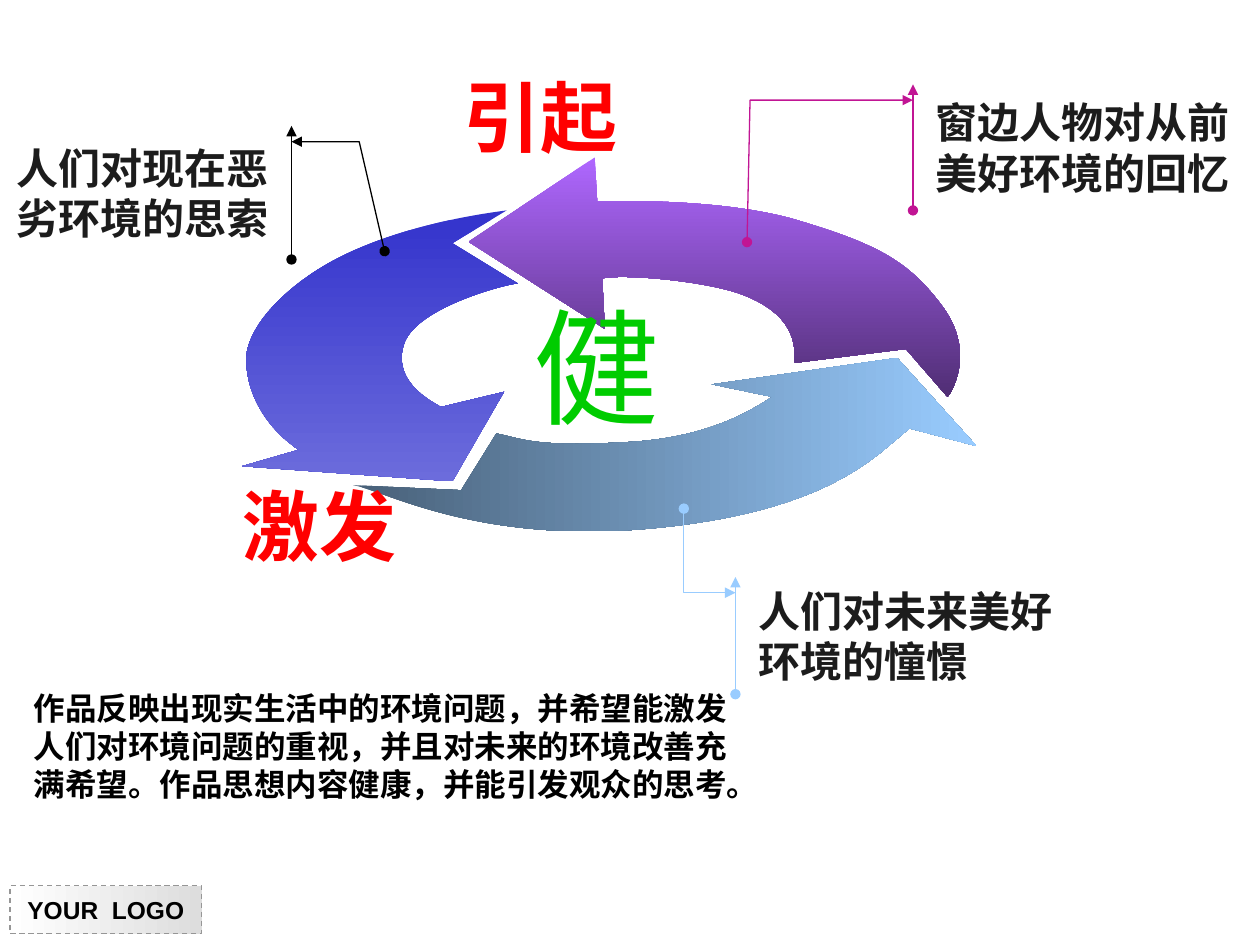
from dataclasses import dataclass

from lxml.etree import SubElement
from pptx import Presentation
from pptx.dml.color import RGBColor
from pptx.enum.dml import MSO_LINE as Dash
from pptx.enum.shapes import MSO_SHAPE as Kind
from pptx.enum.text import MSO_ANCHOR as Anchor, MSO_AUTO_SIZE as Fit, PP_ALIGN as Align
from pptx.oxml.ns import qn
from pptx.util import Emu, Pt

PX = 9144  # EMU per px, 100 px to the inch


@dataclass(frozen=True)
class Theme:
    font: str = "Arial"
    ink: str = "1C1C1C"
    black: str = "000000"
    red: str = "FF0000"
    green: str = "00CC00"
    pink: str = "C11594"
    sky: str = "99CCFF"
    edge: str = "969696"
    tag: tuple = ("FFFFFF", "DDDDDD")
    steel: tuple = ("486078", "99CCFF")
    violet: tuple = ("AF67FF", "502E74")
    blue: tuple = ("3333CC", "6C6CDC")
    hero: int = 72
    word: int = 44
    label: int = 24
    body: int = 18
    small: int = 14


THEME = Theme()


@dataclass(frozen=True)
class Arrow:
    """Outline steps: (x, y) is a line, six numbers are a Bezier curve."""
    start: tuple
    steps: list
    shades: tuple
    angle: int


@dataclass(frozen=True)
class Callout:
    box: tuple
    lines: list
    bend: tuple
    color: str
    align: Align = Align.LEFT


@dataclass(frozen=True)
class Label:
    box: tuple
    lines: list
    size: int
    color: str
    bold: bool = True
    wrap: bool = False
    align: Align = Align.LEFT


ARROWS = [
    Arrow((394, 344), [
        (414, 348, 424, 355, 495, 351), (566, 348, 601, 322, 613, 315),
        (565, 305), (712, 284), (775, 354), (722, 340),
        (697, 359, 662, 405, 521, 419), (380, 433, 305, 389, 280, 385),
        (366, 389)], THEME.steel, 0),
    Arrow((474, 160), [
        (472, 125), (372, 192), (480, 261), (478, 221),
        (497, 217, 567, 224, 592, 235), (639, 254, 629, 285, 631, 288),
        (719, 277), (752, 315),
        (757, 309, 774, 277, 747, 242), (720, 206, 694, 193, 630, 174),
        (566, 156, 474, 160, 474, 160)], THEME.violet, 270),
    Arrow((192, 370), [
        (359, 382), (400, 311), (350, 323),
        (337, 316, 311, 300, 321, 272), (332, 243, 404, 225, 411, 225),
        (359, 193), (402, 167),
        (348, 174, 300, 188, 266, 206), (232, 224, 201, 253, 196, 279),
        (193, 303, 205, 335, 237, 357)], THEME.blue, 270),
]

CALLOUTS = [
    Callout((733, 67, 300, 100), ["窗边人物对从前", "美好环境的回忆"],
            (0.125, -0.028, 0.125, -0.459, 1.252, -0.467), THEME.pink),
    Callout((592, 458, 333, 93), ["人们对未来美好", "环境的憧憬"],
            (0.134, -0.025, 0.134, -0.148, -0.584, -0.148), THEME.sky),
    Callout((-17, 100, 240, 106), ["人们对现在恶 劣环境的思索"],
            (0.118, 1.035, 0.118, 1.259, 0.938, 1.343), THEME.black, Align.RIGHT),
]

HERO = Label((367, 225, 212, 130), ["健"], THEME.hero, THEME.green,
             bold=False, wrap=True, align=Align.CENTER)
LABELS = [
    Label((358, 50, 143, 83), ["引起"], THEME.word, THEME.red),
    Label((183, 375, 143, 83), ["激发"], THEME.word, THEME.red),
    Label((17, 542, 599, 100), [
        "作品反映出现实生活中的环境问题，并希望能激发",
        "人们对环境问题的重视，并且对未来的环境改善充",
        "满希望。作品思想内容健康，并能引发观众的思考。"], THEME.body, THEME.black),
]


def scale(box: tuple) -> list:
    return [Emu(v * PX) for v in box]


def rgb(code: str) -> RGBColor:
    return RGBColor.from_string(code)


def write(shape, lines: list, *, size: int, color: str, bold: bool = True,
          wrap: bool = True, align: Align = Align.LEFT,
          anchor: Anchor = Anchor.MIDDLE) -> None:
    frame = shape.text_frame
    frame.word_wrap = wrap
    frame.vertical_anchor = anchor
    frame.text = "\n".join(lines)
    for para in frame.paragraphs:
        para.alignment = align
        font = para.runs[0].font
        font.name, font.size, font.bold = THEME.font, Pt(size), bold
        font.color.rgb = rgb(color)


def shade(shape, shades: tuple, angle: int) -> None:
    """Fill with a two-colour gradient; angle runs counter-clockwise."""
    fill = shape.fill
    fill.gradient()
    fill.gradient_angle = angle
    for stop, code, spot in zip(fill.gradient_stops, shades, (0, 1)):
        stop.color.rgb = rgb(code)
        stop.position = spot


def curve(shape, steps: list) -> None:
    """Join each curve's three line segments into one Bezier segment."""
    nodes = iter(list(shape._element.iter(qn("a:lnTo"))))
    for step in steps:
        node = next(nodes)
        if len(step) == 6:
            node.tag = qn("a:cubicBezTo")
            for extra in (next(nodes), next(nodes)):
                node.append(extra[0])
                extra.getparent().remove(extra)


def draw_arrow(shapes, arrow: Arrow) -> None:
    pen = shapes.build_freeform(*arrow.start, scale=PX)
    pen.add_line_segments([step[i:i + 2] for step in arrow.steps
                           for i in range(0, len(step), 2)], close=True)
    shape = pen.convert_to_shape()
    curve(shape, arrow.steps)
    shape.shadow.inherit = False
    shape.line.fill.background()
    shade(shape, arrow.shades, arrow.angle)


def draw_callout(shapes, note: Callout) -> None:
    shape = shapes.add_shape(Kind.LINE_CALLOUT_2_ACCENT_BAR, *scale(note.box))
    shape.shadow.inherit = False
    for i, value in enumerate(note.bend):
        shape.adjustments[i] = value
    shape.fill.background()
    shape.line.color.rgb = rgb(note.color)
    shape.line.width = Pt(0.75)
    line = shape.line._get_or_add_ln()
    for end, kind in (("a:headEnd", "triangle"), ("a:tailEnd", "oval")):
        SubElement(line, qn(end), type=kind)
    write(shape, note.lines, size=THEME.label, color=THEME.ink, align=note.align)


def draw_label(shapes, label: Label) -> None:
    shape = shapes.add_textbox(*scale(label.box))
    write(shape, label.lines, size=label.size, color=label.color, bold=label.bold,
          wrap=label.wrap, align=label.align, anchor=Anchor.TOP)
    shape.text_frame.auto_size = Fit.SHAPE_TO_FIT_TEXT


def draw_tag(shapes) -> None:
    shape = shapes.add_shape(Kind.RECTANGLE, *scale((8, 703, 152, 38)))
    shape.shadow.inherit = False
    shade(shape, THEME.tag, 0)
    shape.line.color.rgb = rgb(THEME.edge)
    shape.line.width = Pt(0.75)
    shape.line.dash_style = Dash.DASH
    write(shape, ["YOUR  LOGO"], size=THEME.small, color=THEME.black,
          wrap=False, align=Align.CENTER)


def main() -> None:
    deck = Presentation()
    deck.slide_width, deck.slide_height = scale((1000, 750))
    shapes = deck.slides.add_slide(deck.slide_layouts[6]).shapes
    draw_tag(shapes)
    ring = shapes.add_group_shape().shapes
    for arrow in ARROWS:
        draw_arrow(ring, arrow)
    draw_label(shapes, HERO)
    for note in CALLOUTS:
        draw_callout(shapes, note)
    for label in LABELS:
        draw_label(shapes, label)
    deck.save("out.pptx")


if __name__ == "__main__":
    main()
